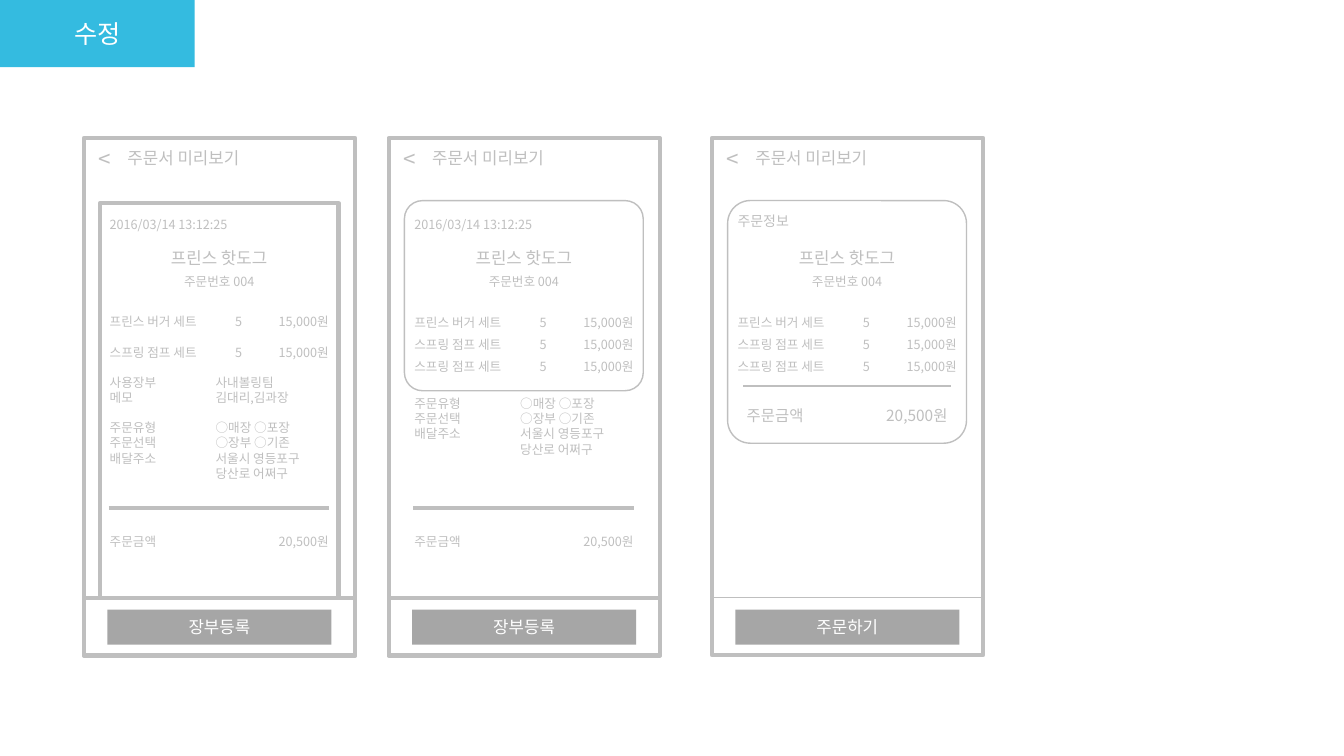
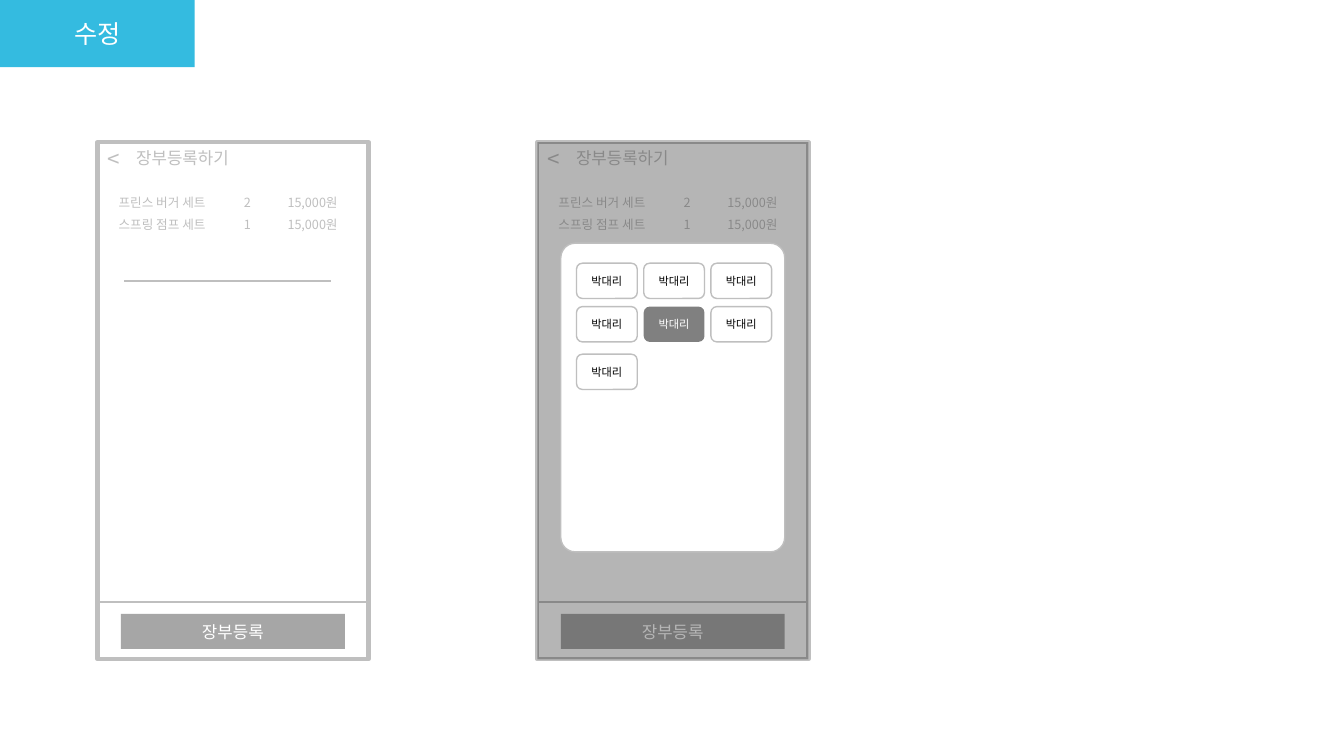
from dataclasses import dataclass

from lxml import etree
from pptx import Presentation
from pptx.dml.color import RGBColor
from pptx.enum import shapes, text
from pptx.oxml import ns
from pptx.shapes.autoshape import Shape
from pptx.slide import Slide
from pptx.util import Pt

FONT = "Noto Sans CJK KR"
COLORS = {
    "accent": "34BBE0",
    "gray": "BFBFBF",
    "button": "A6A6A6",
    "selected": "808080",
    "shade": "0D0D0D",
    "white": "FFFFFF",
    "black": "000000",
}
RECT = shapes.MSO_SHAPE.RECTANGLE
ROUND = shapes.MSO_SHAPE.ROUNDED_RECTANGLE
LEFT, CENTER, RIGHT = text.PP_ALIGN.LEFT, text.PP_ALIGN.CENTER, text.PP_ALIGN.RIGHT
TOP, MIDDLE = text.MSO_ANCHOR.TOP, text.MSO_ANCHOR.MIDDLE

PHONE_W, PHONE_H = 193.7, 369.4
DOCK_Y, DOCK_H = 328.3, 41.5
BUTTON_X, BUTTON_W, BUTTON_H = 16.8, 160, 25
CARD_W, ROW_H = 170.6, 27.2
QTY_X, VALUE_X = 89.5, 75.6
LINE_SPACING = 1.2


@dataclass(frozen=True)
class Phone:
    left: float
    top: float
    title: str
    button: str
    title_dx: float
    card_dx: float
    dock_line: float

    @property
    def card(self) -> float:
        return self.left + self.card_dx


@dataclass(frozen=True)
class Item:
    name: str
    qty: str
    price: str = "15,000원"


BURGER, SPRING = Item("프린스 버거 세트", "5"), Item("스프링 점프 세트", "5")
LEDGER_ITEMS = (Item("프린스 버거 세트", "2"), Item("스프링 점프 세트", "1"))
PREVIEWS = (
    Phone(60, 98.6, "주문서 미리보기", "장부등록", 3.4, 11.3, 3),
    Phone(277.6, 98.6, "주문서 미리보기", "장부등록", 3.4, 11.3, 3),
    Phone(508.5, 98.6, "주문서 미리보기", "주문하기", 3.4, 11.3, 1),
)
LEDGERS = tuple(
    Phone(left, 101.6, "장부등록하기", "장부등록", 0, 8, 1) for left in (69.6, 383.8)
)
ORDER_LABELS = ("주문유형", "주문선택", "배달주소")
ORDER_VALUES = ("○매장 ○포장", "○장부 ○기존", "서울시 영등포구", "당산로 어쩌구")


def rgb(name: str) -> RGBColor:
    return RGBColor.from_string(COLORS[name])


def write(tf: text.MSO_ANCHOR, lines: str, size: float, color: str,
          align: text.PP_ALIGN, anchor: text.MSO_ANCHOR, gap_before: int = 0) -> None:
    """Fill a text frame; a line of space precedes paragraph gap_before."""
    tf.word_wrap = True
    tf.vertical_anchor = anchor
    tf.text = lines
    for i, p in enumerate(tf.paragraphs):
        p.alignment = align
        p.line_spacing = Pt(size * LINE_SPACING)
        if gap_before and i == gap_before:
            p.space_before = Pt(size * LINE_SPACING)
        for r in p.runs:
            r.font.size = Pt(size)
            r.font.color.rgb = rgb(color)
            r.font.name = FONT
            etree.SubElement(r.font._element, ns.qn("a:ea"), typeface=FONT)


def add_text(s: Slide, x: float, y: float, w: float, h: float, lines: str,
             size: float = 9, align: text.PP_ALIGN = LEFT,
             anchor: text.MSO_ANCHOR = MIDDLE, gap_before: int = 0) -> None:
    box = s.shapes.add_textbox(Pt(x), Pt(y), Pt(w), Pt(h))
    write(box.text_frame, lines, size, "gray", align, anchor, gap_before)


def add_box(s: Slide, x: float, y: float, w: float, h: float, fill: str = "",
            line: float = 0, kind: shapes.MSO_SHAPE = RECT, label: str = "",
            size: float = 12, color: str = "white") -> Shape:
    sp = s.shapes.add_shape(kind, Pt(x), Pt(y), Pt(w), Pt(h))
    sp.shadow.inherit = False
    if fill:
        sp.fill.solid()
        sp.fill.fore_color.rgb = rgb(fill)
    else:
        sp.fill.background()
    if line:
        sp.line.color.rgb = rgb("gray")
        sp.line.width = Pt(line)
    else:
        sp.line.fill.background()
    if label:
        write(sp.text_frame, label, size, color, CENTER, MIDDLE)
    return sp


def add_round_card(s: Slide, x: float, y: float, w: float, h: float,
                   radius: float, fill: str = "") -> None:
    sp = add_box(s, x, y, w, h, fill, 1, ROUND)
    sp.adjustments[0] = radius


def add_rule(s: Slide, x: float, y: float, w: float, width: float) -> None:
    rule = s.shapes.add_connector(
        shapes.MSO_CONNECTOR.STRAIGHT, Pt(x), Pt(y), Pt(x + w), Pt(y))
    rule.line.color.rgb = rgb("gray")
    rule.line.width = Pt(width)
    etree.SubElement(rule._element.spPr, ns.qn("a:effectLst"))


def add_phone(s: Slide, phone: Phone) -> None:
    """Draw the header, the bottom dock with its button, and the frame."""
    x = phone.left + phone.title_dx
    add_text(s, x, 99.4, 180, ROW_H, "<", 16)
    add_text(s, x + 20.6, 99.4, 166, ROW_H, phone.title, 12)
    dock_y = phone.top + DOCK_Y
    add_box(s, phone.left, dock_y, PHONE_W, DOCK_H, "white", phone.dock_line)
    add_box(s, phone.left + BUTTON_X, dock_y + 8.6, BUTTON_W, BUTTON_H,
            "button", label=phone.button)
    add_box(s, phone.left, phone.top, PHONE_W, PHONE_H, line=3)


def add_items(s: Slide, x: float, top: float, step: float,
              items: tuple[Item, ...]) -> None:
    for i, item in enumerate(items):
        y = top + i * step
        add_text(s, x, y, QTY_X, ROW_H, item.name)
        add_text(s, x + QTY_X, y, 30, ROW_H, item.qty)
        add_text(s, x, y, CARD_W, ROW_H, item.price, align=RIGHT)


def add_shop(s: Slide, x: float) -> None:
    add_text(s, x, 170.6, CARD_W, ROW_H, "프린스 핫도그", 12, CENTER)
    add_text(s, x, 187.2, CARD_W, ROW_H, "주문번호 004", align=CENTER)


def add_details(s: Slide, x: float, y: float, labels: tuple[str, ...],
                values: tuple[str, ...], gap_before: int = 0) -> None:
    for dx, lines in ((0, labels), (VALUE_X, values)):
        add_text(s, x + dx, y, 95, 90, "\n".join(lines), anchor=TOP,
                 gap_before=gap_before)


def add_total(s: Slide, x: float, y: float, w: float, size: float) -> None:
    for label, align in (("주문금액", LEFT), ("20,500원", RIGHT)):
        add_text(s, x, y, w, 20, label, size, align, TOP)


def add_receipt(s: Slide, x: float) -> None:
    """Draw the parts that the two receipt previews share."""
    add_text(s, x, 147, CARD_W, ROW_H, "2016/03/14 13:12:25")
    add_shop(s, x)
    add_rule(s, x + 6.4, 362.9, 157.6, 3)
    add_total(s, x, 378, CARD_W, 9)


def new_slide(prs: Presentation) -> Slide:
    s = prs.slides.add_slide(prs.slide_layouts[6])
    add_box(s, 0, 0, 139, 48, "accent", label="수정", size=18)
    return s


def build_previews(prs: Presentation) -> None:
    s = new_slide(prs)
    full, compact, order = PREVIEWS

    add_box(s, full.card, 145.2, CARD_W, 296, line=3)
    add_receipt(s, full.card)
    add_items(s, full.card, 216, 22, (BURGER, SPRING))
    add_details(s, full.card, 264.2, ("사용장부", "메모") + ORDER_LABELS,
                ("사내볼링팀", "김대리,김과장") + ORDER_VALUES, gap_before=2)

    add_round_card(s, compact.card, 143.3, CARD_W, 135.8, 0.095)
    add_receipt(s, compact.card)
    add_details(s, compact.card, 279.4, ORDER_LABELS, ORDER_VALUES)

    add_round_card(s, order.card, 143.3, CARD_W, 173.3, 0.095)
    add_text(s, order.card, 144, CARD_W, ROW_H, "주문정보", 10)
    add_shop(s, order.card)
    add_rule(s, order.card + 11.2, 275.8, 148, 1)
    add_total(s, order.card + 6.5, 286.6, CARD_W - 13, 11)

    for phone in (compact, order):
        add_items(s, phone.card, 216.7, 15.6, (BURGER, SPRING, SPRING))
    for phone in PREVIEWS:
        add_phone(s, phone)


def add_member_picker(s: Slide, phone: Phone) -> None:
    """Shade the phone and open a panel of member buttons over it."""
    shade = add_box(s, phone.left, phone.top, PHONE_W, PHONE_H, "shade")
    color = shade._element.spPr.find(".//" + ns.qn("a:srgbClr"))
    etree.SubElement(color, ns.qn("a:alpha"), val="30000")
    add_round_card(s, phone.left + BUTTON_X, 173.7, BUTTON_W, 220.5, 0.065, "white")
    row_tops, columns, selected = (188, 219, 253), 3, 4
    for i in range(7):
        row, col = divmod(i, columns)
        fill, line, ink = (("selected", 0, "white") if i == selected
                           else ("white", 1, "black"))
        add_box(s, phone.left + 28 + col * 48, row_tops[row], 43.4, 25.2,
                fill, line, ROUND, "박대리", 8, ink)


def build_ledgers(prs: Presentation) -> None:
    s = new_slide(prs)
    plain, picker = LEDGERS
    for phone in LEDGERS:
        add_phone(s, phone)
        add_items(s, phone.card, 131, 15.7, LEDGER_ITEMS)
    add_rule(s, plain.card + 11, 200.6, 148, 1)
    add_member_picker(s, picker)


def main() -> None:
    prs = Presentation()
    prs.slide_width, prs.slide_height = Pt(960), Pt(540)
    build_previews(prs)
    build_ledgers(prs)
    prs.save("out.pptx")


if __name__ == "__main__":
    main()
